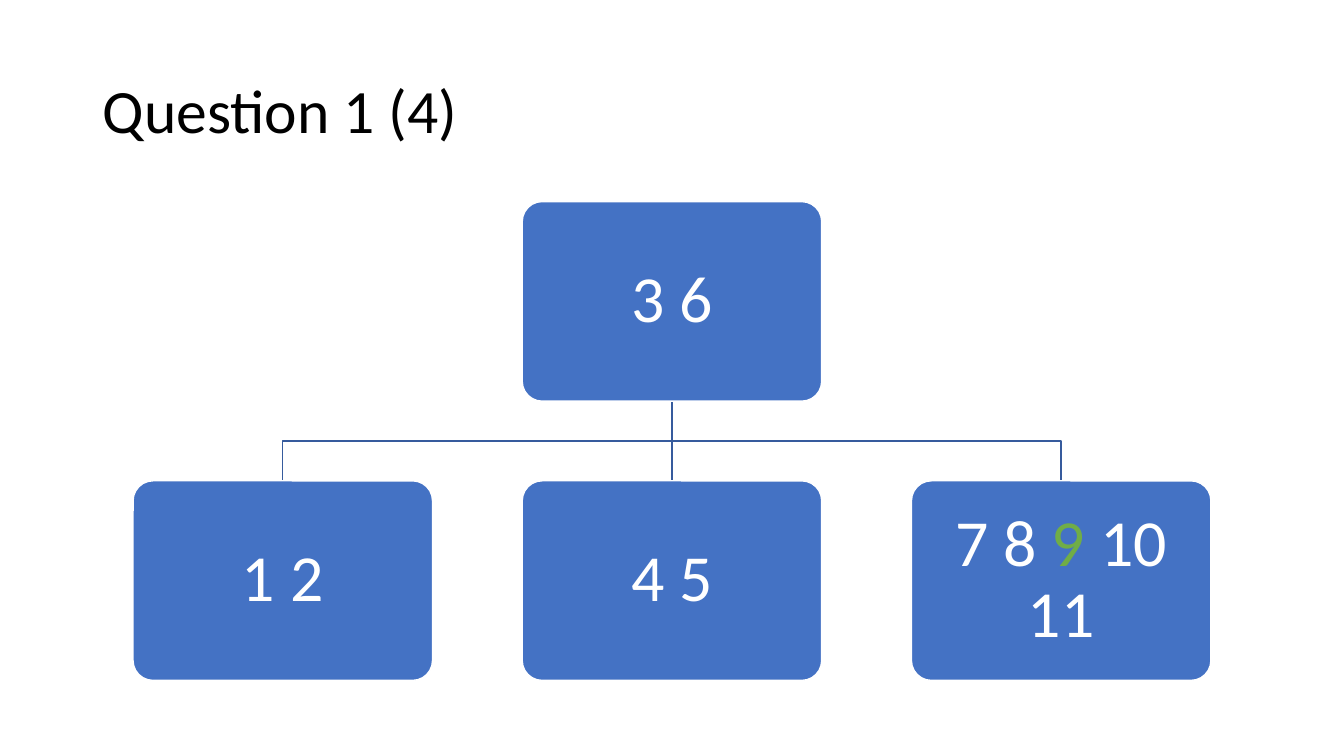
from collections import namedtuple

from lxml import etree
from pptx import Presentation
from pptx.dml.color import RGBColor
from pptx.enum.shapes import MSO_CONNECTOR, MSO_SHAPE
from pptx.enum.text import MSO_ANCHOR, MSO_AUTO_SIZE, PP_ALIGN
from pptx.oxml.ns import qn
from pptx.util import Pt

EMU_PER_PX = 9144  # 100 px to the inch
PAGE_WIDTH, PAGE_HEIGHT = 1333, 750
TITLE_ONLY = 5

ROUNDED = MSO_SHAPE.ROUNDED_RECTANGLE
STRAIGHT = MSO_CONNECTOR.STRAIGHT
MIDDLE = MSO_ANCHOR.MIDDLE
NO_FIT = MSO_AUTO_SIZE.NONE
LEFT, CENTER = PP_ALIGN.LEFT, PP_ALIGN.CENTER

BLACK = RGBColor(0x00, 0x00, 0x00)
WHITE = RGBColor(0xFF, 0xFF, 0xFF)
BLUE = RGBColor(0x44, 0x72, 0xC4)
BRANCH_BLUE = RGBColor(0x36, 0x5B, 0x9D)
GREEN = RGBColor(0x70, 0xAD, 0x47)
FONT = "Calibri"

Box = namedtuple("Box", "left top width height")
TITLE_BOX = Box(92, 40, 1150, 145)
TREE_BOX = Box(132, 200, 1069, 475)
NODE_WIDTH, NODE_HEIGHT, NODE_INSET = 297, 198, 26

ROOT = [("3 6", WHITE)]
LEAVES = [
    [("1 2", WHITE)],
    [("4 5", WHITE)],
    [("7 8 ", WHITE), ("9", GREEN), (" 10 11", WHITE)],
]


def px(length):
    return round(length * EMU_PER_PX)


def emu(box):
    return [px(length) for length in box]


def set_all(target, values):
    for name, value in values.items():
        setattr(target, name, value)


def write_text(frame, spans, size, align, inset=None):
    """Fill the frame with one paragraph of (text, colour) spans."""
    set_all(frame, {"word_wrap": True, "auto_size": NO_FIT,
                    "vertical_anchor": MIDDLE})
    if inset is not None:
        sides = ("left", "top", "right", "bottom")
        set_all(frame, {f"margin_{side}": px(inset) for side in sides})
    para = frame.paragraphs[0]
    set_all(para, {"alignment": align, "line_spacing": 0.9})
    for text, color in spans:
        span = para.add_run()
        span.text = text
        set_all(span.font, {"name": FONT, "size": Pt(size)})
        span.font.color.rgb = color


def set_line(line, color):
    line.color.rgb = color
    line.width = Pt(1)


def add_title(page, box, text):
    title = page.shapes.title
    set_all(title, dict(zip(box._fields, emu(box))))
    write_text(title.text_frame, [(text, BLACK)], 44, LEFT)


def add_node(page, box, spans):
    node = page.shapes.add_shape(ROUNDED, *emu(box))
    node.adjustments[0] = 0.1
    node.shadow.inherit = False
    node.fill.solid()
    node.fill.fore_color.rgb = BLUE
    set_line(node.line, WHITE)
    write_text(node.text_frame, spans, 47, CENTER, NODE_INSET)


def add_branch(page, parent, child):
    """Join the bottom of parent to the top of child, bending halfway."""
    start_x = parent.left + parent.width / 2
    end_x = child.left + child.width / 2
    start_y, end_y = parent.top + parent.height, child.top
    if start_x == end_x:
        branch = page.shapes.add_connector(
            STRAIGHT, px(start_x), px(start_y), px(end_x), px(end_y))
        etree.SubElement(branch._element.spPr, qn("a:effectLst"))
    else:
        bend_y = (start_y + end_y) / 2
        builder = page.shapes.build_freeform(px(start_x), px(start_y))
        bends = [(start_x, bend_y), (end_x, bend_y), (end_x, end_y)]
        builder.add_line_segments([(px(x), px(y)) for x, y in bends], close=False)
        branch = builder.convert_to_shape()
        branch.fill.background()
        branch.shadow.inherit = False
    set_line(branch.line, BRANCH_BLUE)


def add_tree(page, box, root, leaves):
    """Centre the root at the top and spread the leaves along the bottom."""
    root_box = Box(box.left + (box.width - NODE_WIDTH) / 2, box.top,
                   NODE_WIDTH, NODE_HEIGHT)
    step = (box.width - NODE_WIDTH) / (len(leaves) - 1)
    leaf_top = box.top + box.height - NODE_HEIGHT
    leaf_boxes = [Box(box.left + index * step, leaf_top, NODE_WIDTH, NODE_HEIGHT)
                  for index in range(len(leaves))]
    for leaf_box in leaf_boxes:
        add_branch(page, root_box, leaf_box)
    for node_box, spans in zip([root_box, *leaf_boxes], [root, *leaves]):
        add_node(page, node_box, spans)


def main():
    deck = Presentation()
    set_all(deck, {"slide_width": px(PAGE_WIDTH), "slide_height": px(PAGE_HEIGHT)})
    page = deck.slides.add_slide(deck.slide_layouts[TITLE_ONLY])
    add_title(page, TITLE_BOX, "Question 1 (4)")
    add_tree(page, TREE_BOX, ROOT, LEAVES)
    deck.save("out.pptx")


if __name__ == "__main__":
    main()
